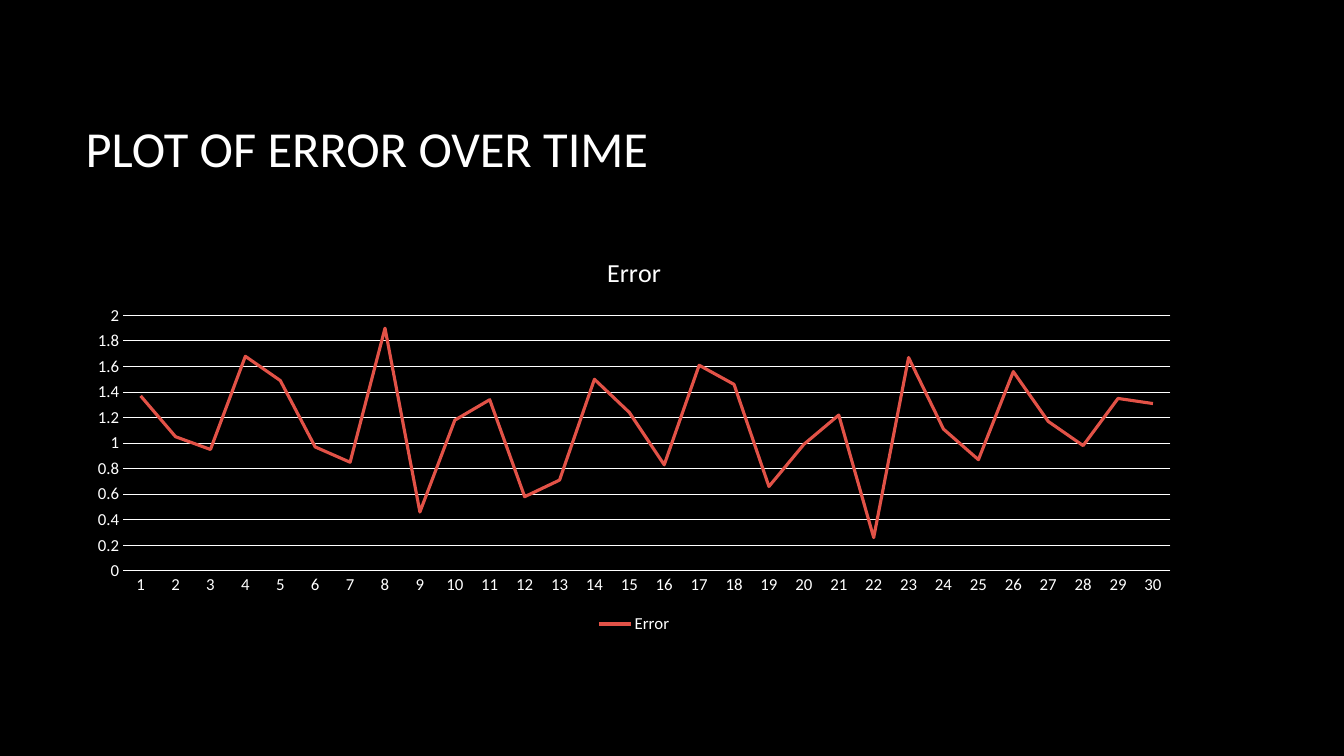
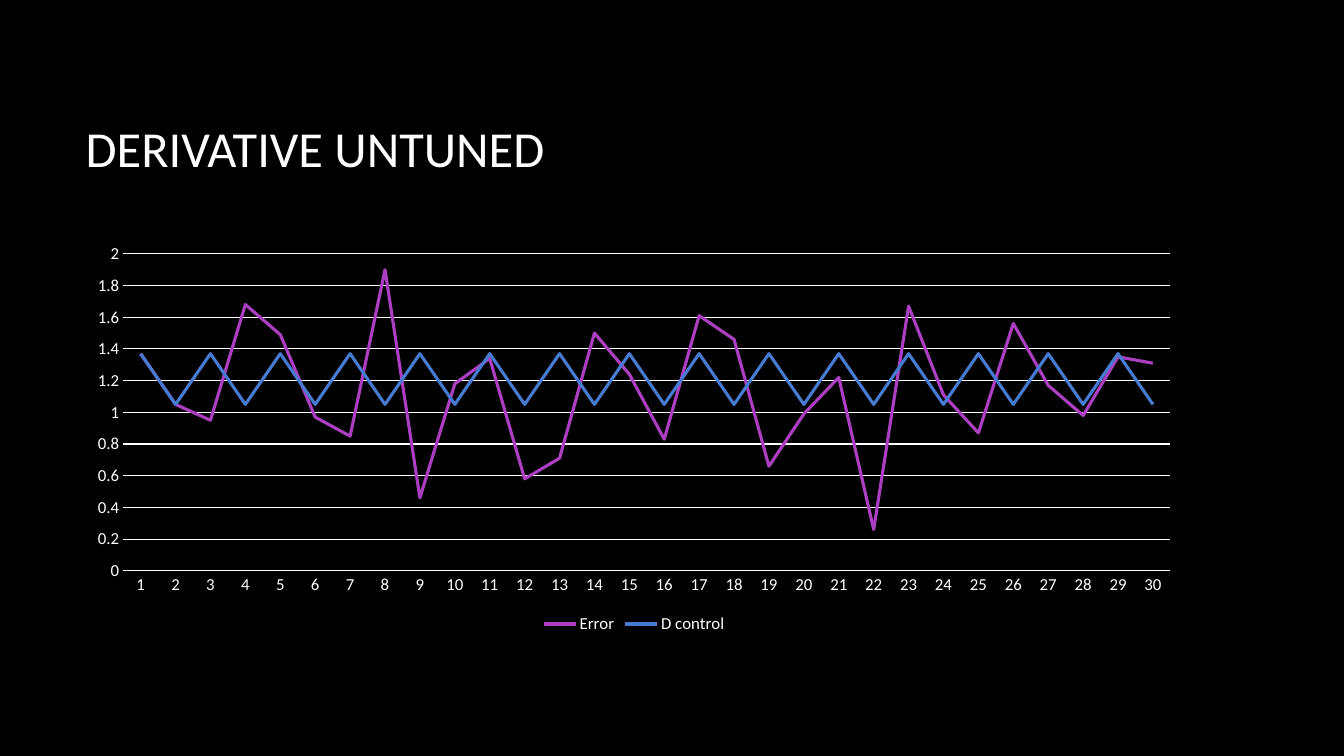
from pptx import Presentation
from pptx.chart.data import CategoryChartData
from pptx.dml.color import RGBColor
from pptx.enum.chart import XL_CHART_TYPE, XL_LEGEND_POSITION, XL_TICK_MARK
from pptx.enum.text import MSO_ANCHOR, PP_ALIGN
from pptx.util import Inches, Pt

LINE_CHART = XL_CHART_TYPE.LINE
LEGEND_BOTTOM = XL_LEGEND_POSITION.BOTTOM
NO_TICK = XL_TICK_MARK.NONE
MIDDLE = MSO_ANCHOR.MIDDLE
LEFT = PP_ALIGN.LEFT

BLACK = RGBColor(0x00, 0x00, 0x00)
WHITE = RGBColor(0xFF, 0xFF, 0xFF)
RED = RGBColor(0xE2, 0x52, 0x47)
PURPLE = RGBColor(0xAC, 0x3E, 0xC1)
BLUE = RGBColor(0x47, 0x7B, 0xD1)
FONT = "Calibri"

MARGIN = Inches(0.75)
CONTENT_WIDTH = Inches(11.08)
TITLE_ONLY = 5

# Measurements
ERROR = [1.37, 1.05, 0.95, 1.68, 1.49, 0.97, 0.85, 1.9, 0.46, 1.18,
         1.34, 0.58, 0.71, 1.5, 1.24, 0.83, 1.61, 1.46, 0.66, 0.99,
         1.22, 0.26, 1.67, 1.11, 0.87, 1.56, 1.17, 0.98, 1.35, 1.31]
D_CONTROL = [1.37, 1.05] * 15
TIME_STEPS = [str(step) for step in range(1, len(ERROR) + 1)]

# Slide title, chart title (if any), series as name, values, colour
SLIDES = [
    ("PLOT OF ERROR OVER TIME", "Error", [("Error", ERROR, RED)]),
    ("DERIVATIVE UNTUNED", None,
     [("Error", ERROR, PURPLE), ("D control", D_CONTROL, BLUE)]),
]


def style_font(font, size):
    font.name = FONT
    font.size = Pt(size)
    font.bold = False
    font.color.rgb = WHITE


def style_line(line, color, width):
    line.color.rgb = color
    line.width = Pt(width)


presentation = Presentation()
presentation.slide_width = Inches(13.33)
presentation.slide_height = Inches(7.5)

# Shared background
background = presentation.slide_master.background.fill
background.solid()
background.fore_color.rgb = BLACK

for slide_title, chart_title, series_list in SLIDES:
    slide = presentation.slides.add_slide(presentation.slide_layouts[TITLE_ONLY])

    # Title
    title = slide.shapes.title
    title.left, title.top = MARGIN, Inches(0.67)
    title.width, title.height = CONTENT_WIDTH, Inches(1.59)
    title.text_frame.text = slide_title
    title.text_frame.vertical_anchor = MIDDLE
    paragraph = title.text_frame.paragraphs[0]
    paragraph.alignment = LEFT
    style_font(paragraph.runs[0].font, 36)

    # Line chart
    chart_data = CategoryChartData()
    chart_data.categories = TIME_STEPS
    for name, values, color in series_list:
        chart_data.add_series(name, values)
    chart = slide.shapes.add_chart(
        LINE_CHART, MARGIN, Inches(2.34), CONTENT_WIDTH, Inches(3.99), chart_data).chart
    style_font(chart.font, 10)

    # Chart title
    chart.has_title = chart_title is not None
    if chart_title:
        heading = chart.chart_title.text_frame
        heading.text = chart_title
        style_font(heading.paragraphs[0].runs[0].font, 18.6)

    # Legend
    chart.has_legend = True
    chart.legend.position = LEGEND_BOTTOM
    chart.legend.include_in_layout = False
    style_font(chart.legend.font, 12)

    # Axes and gridlines
    for axis in (chart.category_axis, chart.value_axis):
        axis.major_tick_mark = NO_TICK
        axis.minor_tick_mark = NO_TICK
        style_font(axis.tick_labels.font, 12)
    style_line(chart.category_axis.format.line, WHITE, 0.75)
    value_axis = chart.value_axis
    value_axis.format.line.fill.background()
    value_axis.minimum_scale = 0
    value_axis.maximum_scale = 2
    value_axis.major_unit = 0.2
    value_axis.has_major_gridlines = True
    style_line(value_axis.major_gridlines.format.line, WHITE, 0.75)

    # Series
    plot = chart.plots[0]
    plot.vary_by_categories = False
    for series, (name, values, color) in zip(plot.series, series_list):
        series.smooth = False
        style_line(series.format.line, color, 2.25)

presentation.save("out.pptx")
